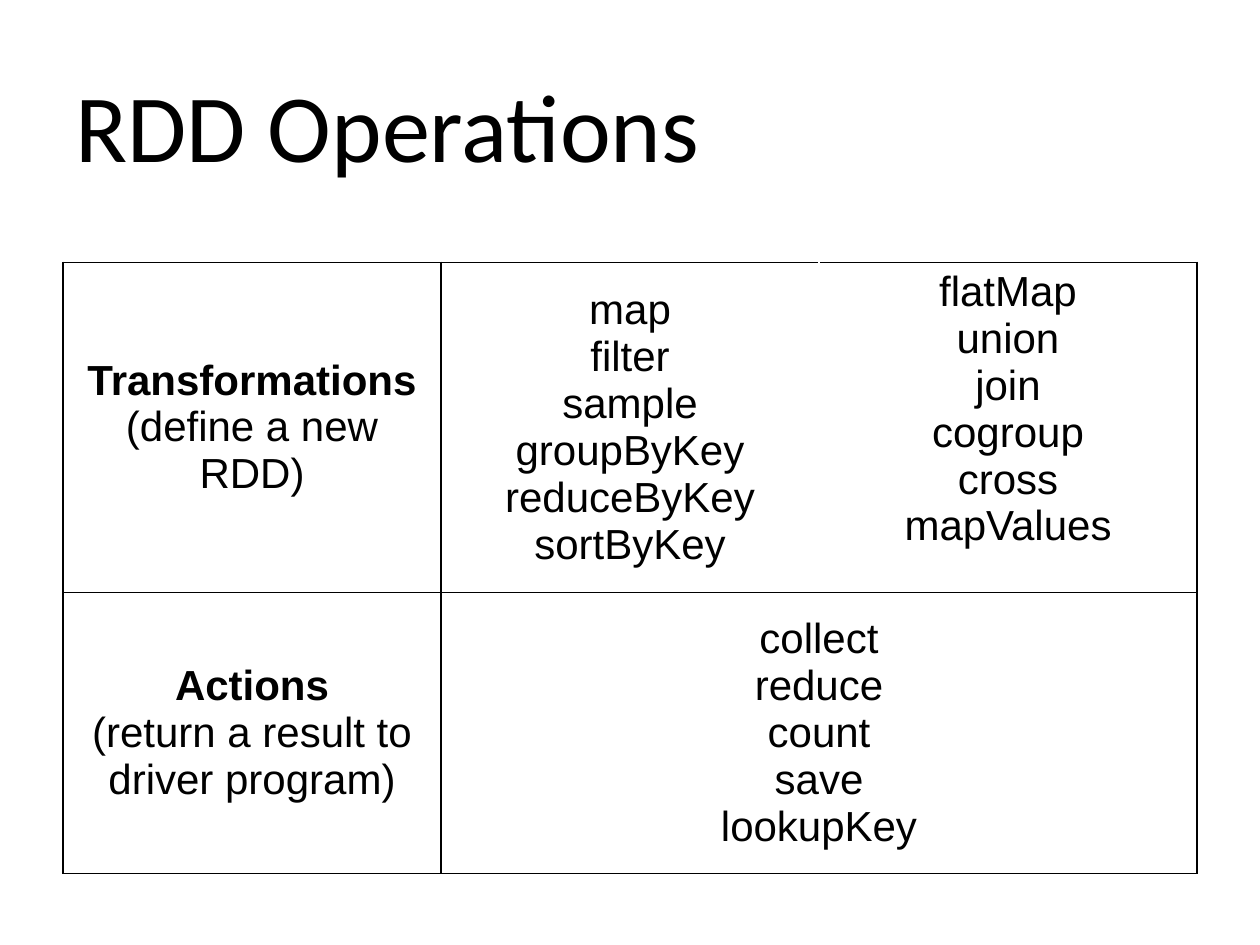
from pptx import Presentation
from pptx.util import Cm, Pt
from pptx.dml.color import RGBColor
from pptx.enum.text import PP_ALIGN, MSO_ANCHOR
from pptx.oxml.ns import qn
from lxml.etree import SubElement

HUES = {"ink": "000000", "paper": "FFFFFF"}
SIDES = ("L", "R", "T", "B")
COLS, ROWS = 3, (6.65, 5.67)


def style(par, size, font, bold=False):
    for run in par.runs:
        run.font.size = Pt(size)
        run.font.name = font
        run.font.bold = bold
        run.font.color.rgb = RGBColor.from_string(HUES["ink"])


def border(cell, hidden=""):
    props = cell._tc.get_or_add_tcPr()
    for i, side in enumerate(SIDES):
        line = SubElement(props, qn("a:ln" + side), w=str(Pt(1)))
        fill = SubElement(line, qn("a:solidFill"))
        hue = HUES["paper" if side in hidden else "ink"]
        SubElement(fill, qn("a:srgbClr"), val=hue)
        props.insert(i, line)


def fill_cell(cell, lines, head=False, anchor=MSO_ANCHOR.MIDDLE, hidden=""):
    cell.fill.background()
    cell.vertical_anchor = anchor
    cell.text_frame.text = "\n".join(lines)
    for i, par in enumerate(cell.text_frame.paragraphs):
        par.alignment = PP_ALIGN.CENTER
        style(par, 24, "Arial", head and i == 0)
    border(cell, hidden)


def add_title(slide, text, x, y, w, h):
    title = slide.shapes.title
    title.left, title.top, title.width, title.height = x, y, w, h
    frame = title.text_frame
    frame.text = text
    frame.vertical_anchor = MSO_ANCHOR.MIDDLE
    par = frame.paragraphs[0]
    par.alignment = PP_ALIGN.LEFT
    par.line_spacing = 0.9
    style(par, 55, "Calibri")


def add_grid(slide, x, y, w):
    table = slide.shapes.add_table(len(ROWS), COLS, x, y, w, Cm(sum(ROWS))).table
    table.first_row = table.horz_banding = False
    for col in table.columns:
        col.width = w // COLS
    for row, high in zip(table.rows, ROWS):
        row.height = Cm(high)
    table.cell(1, 1).merge(table.cell(1, 2))

    fill_cell(table.cell(0, 0), ["Transformations", "(define a new RDD)"], head=True)
    fill_cell(table.cell(0, 1), ["map", "filter", "sample", "groupByKey",
                                 "reduceByKey", "sortByKey"], hidden="R")
    fill_cell(table.cell(0, 2), ["flatMap", "union", "join", "cogroup",
                                 "cross\vmapValues"],
              anchor=MSO_ANCHOR.TOP, hidden="L")
    fill_cell(table.cell(1, 0), ["Actions", "(return a result to driver program)"],
              head=True)
    fill_cell(table.cell(1, 1), ["collect", "reduce", "count\vsave", "lookupKey"])
    border(table.cell(1, 2))


deck = Presentation()
deck.slide_width, deck.slide_height = Cm(25.4), Cm(19.05)
slide = deck.slides.add_slide(deck.slide_layouts[5])
add_title(slide, "RDD Operations", Cm(1.27), Cm(1.06), Cm(22.86), Cm(3.18))
add_grid(slide, Cm(1.27), Cm(5.29), Cm(22.86))
deck.save("out.pptx")
